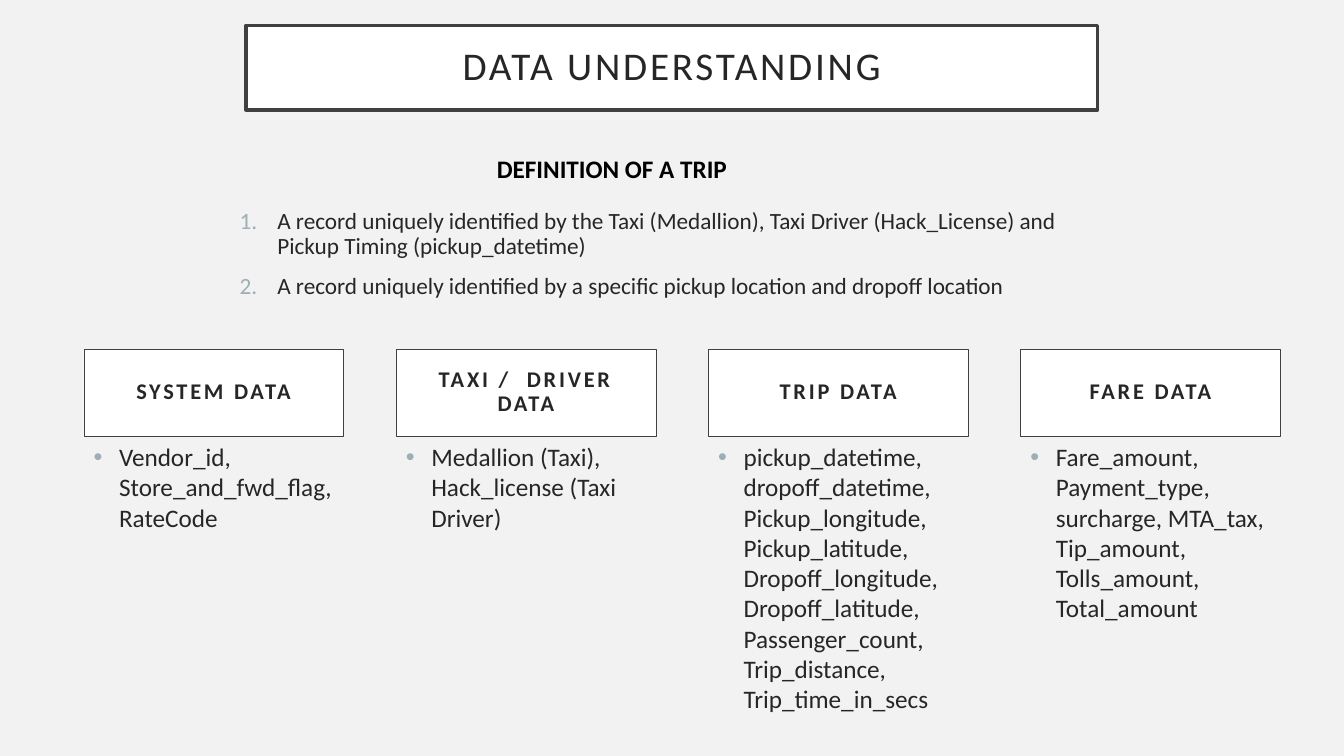
from dataclasses import dataclass

from lxml.etree import SubElement
from pptx import Presentation
from pptx.dml.color import RGBColor
from pptx.enum.shapes import MSO_SHAPE
from pptx.enum.text import MSO_ANCHOR, PP_ALIGN
from pptx.oxml.ns import qn
from pptx.shapes.base import BaseShape
from pptx.slide import Slide
from pptx.text.text import _Paragraph
from pptx.util import Cm, Pt

INK = "262626"
EDGE = "404040"
MARK = "9BAFB5"
LEFT, STEP, WIDTH = 2.11, 7.87, 6.55
HEAD_TOP, HEAD_TALL = 8.79, 2.21


@dataclass
class Area:
    left: float
    top: float
    wide: float
    tall: float


@dataclass
class Group:
    head: str
    body: str
    tall: float


GROUPS = [
    Group("SYSTEM DATA", "Vendor_id, Store_and_fwd_flag, RateCode", 7.24),
    Group("TAXI /  DRIVER DATA", "Medallion (Taxi), Hack_license (Taxi Driver)", 5.31),
    Group(
        "TRIP DATA",
        "pickup_datetime, dropoff_datetime, Pickup_longitude, Pickup_latitude, "
        "Dropoff_longitude, Dropoff_latitude, Passenger_count, Trip_distance, "
        "Trip_time_in_secs",
        7.24,
    ),
    Group(
        "FARE DATA",
        "Fare_amount, Payment_type, surcharge, MTA_tax, Tip_amount, "
        "Tolls_amount, Total_amount",
        7.72,
    ),
]
RULES = [
    "A record uniquely identified by the Taxi (Medallion), Taxi Driver "
    "(Hack_License) and Pickup Timing (pickup_datetime)",
    "A record uniquely identified by a specific pickup location and dropoff location",
]


def paint(code: str) -> RGBColor:
    return RGBColor.from_string(code)


def apply(target: object, form: dict) -> None:
    for key, value in form.items():
        setattr(target, key, value)


def place(area: Area) -> tuple:
    return Cm(area.left), Cm(area.top), Cm(area.wide), Cm(area.tall)


def write(para: _Paragraph, text: str, size: float, bold: bool = False,
          tint: str = INK, track: int = 0) -> None:
    run = para.add_run()
    run.text = text
    apply(run.font, {"name": "Calibri", "size": Pt(size), "bold": bold})
    run.font.color.rgb = paint(tint)
    if track:
        run.font._element.set("spc", str(track))


def add_box(slide: Slide, area: Area, text: str, size: float,
            bold: bool, line: float) -> None:
    box = slide.shapes.add_shape(MSO_SHAPE.RECTANGLE, *place(area))
    box.shadow.inherit = False
    box.fill.solid()
    box.fill.fore_color.rgb = paint("FFFFFF")
    box.line.color.rgb = paint(EDGE)
    box.line.width = Pt(line)
    frame = box.text_frame
    sides = ("left", "top", "right", "bottom")
    apply(frame, {f"margin_{side}": Cm(0.51) for side in sides})
    apply(frame, {"word_wrap": True, "vertical_anchor": MSO_ANCHOR.MIDDLE})
    para = frame.paragraphs[0]
    apply(para, {"alignment": PP_ALIGN.CENTER, "line_spacing": 0.9})
    write(para, text, size, bold, track=200)


def add_text(slide: Slide, area: Area) -> BaseShape:
    box = slide.shapes.add_textbox(*place(area))
    box.text_frame.word_wrap = True
    return box


def add_list(slide: Slide, area: Area, items: list[str], size: float,
             indent: float, space: float, tag: str, form: dict) -> None:
    frame = add_text(slide, area).text_frame
    for index, item in enumerate(items):
        para = frame.add_paragraph() if index else frame.paragraphs[0]
        apply(para, {"space_before": Pt(10), "line_spacing": space})
        props = para._p.get_or_add_pPr()
        props.set("marL", str(Cm(indent)))
        props.set("indent", str(-Cm(indent)))
        shade = SubElement(props, qn("a:buClr"))
        SubElement(shade, qn("a:srgbClr"), val=MARK)
        SubElement(props, qn("a:buFont"), typeface="Arial" if tag == "a:buChar" else "Calibri")
        SubElement(props, qn(tag), **form)
        write(para, item, size)


def main() -> None:
    deck = Presentation()
    apply(deck, {"slide_width": Cm(33.87), "slide_height": Cm(19.05)})
    slide = deck.slides.add_slide(deck.slide_layouts[6])
    slide.background.fill.solid()
    slide.background.fill.fore_color.rgb = paint("F2F2F2")

    add_box(slide, Area(6.2, 0.64, 21.46, 2.13), "DATA UNDERSTANDING", 28, False, 2.5)
    label = add_text(slide, Area(12.27, 3.73, 8.31, 1.02))
    write(label.text_frame.paragraphs[0], "DEFINITION OF A TRIP", 18, True, "000000")
    add_list(slide, Area(5.79, 5.16, 21.46, 2.64), RULES, 16.6, 0.95, 0.9,
             "a:buAutoNum", {"type": "arabicPeriod"})

    for index, group in enumerate(GROUPS):
        left = LEFT + index * STEP
        add_box(slide, Area(left, HEAD_TOP, WIDTH, HEAD_TALL), group.head, 16, True, 0.25)
        add_list(slide, Area(left, HEAD_TOP + HEAD_TALL, WIDTH, group.tall),
                 [group.body], 18, 0.64, 1.0, "a:buChar", {"char": "•"})

    deck.save("out.pptx")


if __name__ == "__main__":
    main()
